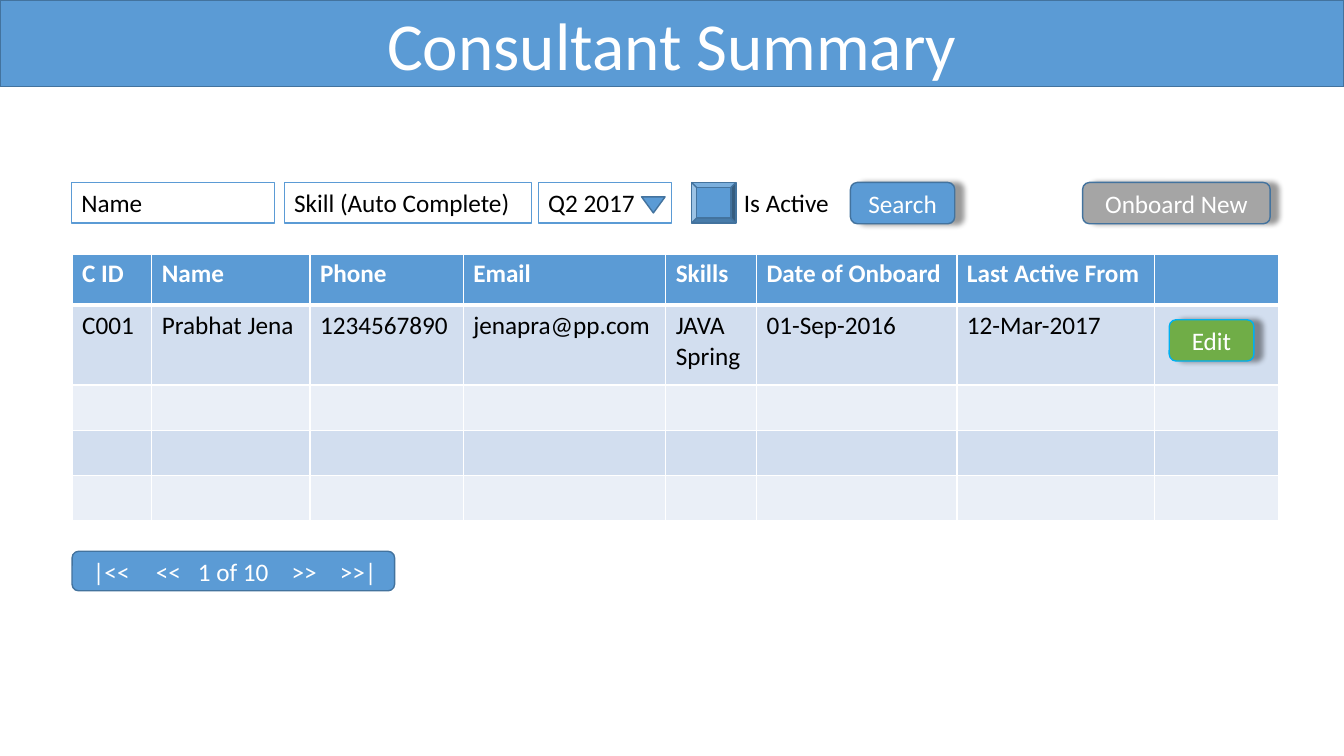
from lxml.etree import SubElement
from pptx import Presentation
from pptx.dml.color import RGBColor
from pptx.enum.shapes import MSO_SHAPE
from pptx.enum.text import MSO_ANCHOR, PP_ALIGN
from pptx.oxml.ns import qn
from pptx.util import Pt

WHITE = RGBColor(0xFF, 0xFF, 0xFF)
BLACK = RGBColor(0x00, 0x00, 0x00)
BLUE = RGBColor(0x5B, 0x9B, 0xD5)
DARK_BLUE = RGBColor(0x43, 0x73, 0x9E)
GRAY = RGBColor(0xA5, 0xA5, 0xA5)
GREEN = RGBColor(0x70, 0xAD, 0x47)
CYAN = RGBColor(0x00, 0xB0, 0xF0)
BAND_DARK = RGBColor(0xD2, 0xDE, 0xEF)
BAND_LIGHT = RGBColor(0xEA, 0xEF, 0xF7)

SLIDE_WIDTH, SLIDE_HEIGHT = 960, 540
LEFT = 51.5
FORM_TOP, FORM_HEIGHT = 130.3, 29

TITLE = "Consultant Summary"
HEADER = ["C ID", "Name", "Phone", "Email", "Skills",
          "Date of Onboard", "Last Active From", ""]
CONSULTANTS = [["C001", "Prabhat Jena", "1234567890", "jenapra@pp.com",
                "JAVA\nSpring", "01-Sep-2016", "12-Mar-2017", ""]]
EMPTY_ROWS = 3
COLUMN_WIDTHS = [56.9, 113, 109.5, 144.7, 64.8, 143.2, 141.2, 88.5]
ROW_HEIGHTS = [36.7, 56.9] + [32.4] * EMPTY_ROWS
TABLE_TOP = 181.4

# text, left, width
FIELDS = [("Name", 51, 145), ("Skill (Auto Complete)", 203, 177),
          ("Q2 2017", 384.5, 95)]
# text, left, top, width, fill, outline
BUTTONS = [("Search", 607.5, FORM_TOP, 74.5, BLUE, DARK_BLUE),
           ("Onboard New", 773.3, FORM_TOP, 134, GRAY, DARK_BLUE),
           ("Edit", 835.2, 228.4, 60.5, GREEN, CYAN)]
PAGER = ["|<<", "<<", "1 of 10", ">>", ">>|"]
PAGER_STOPS = [45, 75, 142, 176.4]

FIELD_FRAME = {"word_wrap": True, "vertical_anchor": MSO_ANCHOR.TOP}
BUTTON_FRAME = {"word_wrap": True, "vertical_anchor": MSO_ANCHOR.MIDDLE}
CHECK_FRAME = {**FIELD_FRAME, "margin_left": Pt(10.8)}
PAGER_FRAME = {**BUTTON_FRAME, "margin_left": Pt(13.5)}


def apply(target, values):
    for name, value in values.items():
        setattr(target, name, value)


def write(frame, text, color, align=PP_ALIGN.LEFT, size=18, bold=False):
    frame.text = text
    for paragraph in frame.paragraphs:
        paragraph.alignment = align
        apply(paragraph.font, {"name": "Calibri", "size": Pt(size), "bold": bold})
        paragraph.font.color.rgb = color


def add_box(slide, preset, left, top, width, height, fill=BLUE,
            outline=DARK_BLUE, weight=1):
    box = slide.shapes.add_shape(preset, Pt(left), Pt(top), Pt(width), Pt(height))
    box.shadow.inherit = False
    if fill is None:
        box.fill.background()
    else:
        box.fill.solid()
        box.fill.fore_color.rgb = fill
    box.line.color.rgb = outline
    box.line.width = Pt(weight)
    return box


def add_side_shadow(box):
    """Cast a soft shadow to the right of the box."""
    effects = box.element.spPr.find(qn("a:effectLst"))
    shadow = SubElement(effects, qn("a:outerShdw"), blurRad=str(Pt(4)),
                        dist=str(Pt(6)), dir="0", algn="l", rotWithShape="0")
    color = SubElement(shadow, qn("a:srgbClr"), val=str(BLACK))
    SubElement(color, qn("a:alpha"), val="40000")


def style_cell(cell, row, fill):
    """Draw white borders, thick under the header, then fill the cell."""
    weights = {"L": 1, "R": 1, "T": 3 if row == 1 else 1, "B": 3 if row == 0 else 1}
    properties = cell._tc.get_or_add_tcPr()
    for side, weight in weights.items():
        border = SubElement(properties, qn(f"a:ln{side}"), w=str(Pt(weight)))
        solid = SubElement(border, qn("a:solidFill"))
        SubElement(solid, qn("a:srgbClr"), val=str(WHITE))
    cell.fill.solid()
    cell.fill.fore_color.rgb = fill


def add_consultant_table(slide):
    rows = [HEADER] + CONSULTANTS + [[""] * len(HEADER)] * EMPTY_ROWS
    table = slide.shapes.add_table(
        len(rows), len(HEADER), Pt(LEFT), Pt(TABLE_TOP),
        Pt(sum(COLUMN_WIDTHS)), Pt(sum(ROW_HEIGHTS))).table
    for column, width in zip(table.columns, COLUMN_WIDTHS):
        column.width = Pt(width)
    for r, values in enumerate(rows):
        table.rows[r].height = Pt(ROW_HEIGHTS[r])
        is_header = r == 0
        fill = BLUE if is_header else BAND_DARK if r % 2 else BAND_LIGHT
        for c, value in enumerate(values):
            cell = table.cell(r, c)
            style_cell(cell, r, fill)
            write(cell.text_frame, value, WHITE if is_header else BLACK,
                  bold=is_header)


def add_search_form(slide):
    for text, left, width in FIELDS:
        field = add_box(slide, MSO_SHAPE.RECTANGLE, left, FORM_TOP, width,
                        FORM_HEIGHT, None, BLUE, 0.75)
        apply(field.text_frame, FIELD_FRAME)
        write(field.text_frame, text, BLACK)
    arrow = add_box(slide, MSO_SHAPE.ISOSCELES_TRIANGLE, 458.3, 140.6, 16.8, 11.5)
    arrow.rotation = 180

    add_box(slide, MSO_SHAPE.BEVEL, 494, FORM_TOP, 31.7, FORM_HEIGHT)
    check_label = slide.shapes.add_textbox(
        Pt(520.6), Pt(FORM_TOP), Pt(80), Pt(FORM_HEIGHT))
    apply(check_label.text_frame, CHECK_FRAME)
    write(check_label.text_frame, "Is Active", BLACK)


def add_buttons(slide):
    for text, left, top, width, fill, outline in BUTTONS:
        button = add_box(slide, MSO_SHAPE.ROUNDED_RECTANGLE, left, top, width,
                         FORM_HEIGHT + 0.5, fill, outline)
        add_side_shadow(button)
        apply(button.text_frame, BUTTON_FRAME)
        write(button.text_frame, text, WHITE, PP_ALIGN.CENTER)


def add_pager(slide):
    pager = add_box(slide, MSO_SHAPE.ROUNDED_RECTANGLE, LEFT, 393.8, 230.4, 28.2)
    apply(pager.text_frame, PAGER_FRAME)
    write(pager.text_frame, "\t".join(PAGER), WHITE)
    properties = pager.text_frame.paragraphs[0]._p.get_or_add_pPr()
    stops = properties.makeelement(qn("a:tabLst"), {})
    properties.insert(0, stops)
    for stop in PAGER_STOPS:
        SubElement(stops, qn("a:tab"), pos=str(Pt(stop)), algn="l")


def main():
    deck = Presentation()
    apply(deck, {"slide_width": Pt(SLIDE_WIDTH), "slide_height": Pt(SLIDE_HEIGHT)})
    slide = deck.slides.add_slide(deck.slide_layouts[6])
    add_consultant_table(slide)
    add_search_form(slide)
    add_buttons(slide)
    add_pager(slide)
    banner = add_box(slide, MSO_SHAPE.RECTANGLE, 0, 0, SLIDE_WIDTH, 61.8)
    apply(banner.text_frame, BUTTON_FRAME)
    write(banner.text_frame, TITLE, WHITE, PP_ALIGN.CENTER, 48)
    deck.save("out.pptx")


if __name__ == "__main__":
    main()
